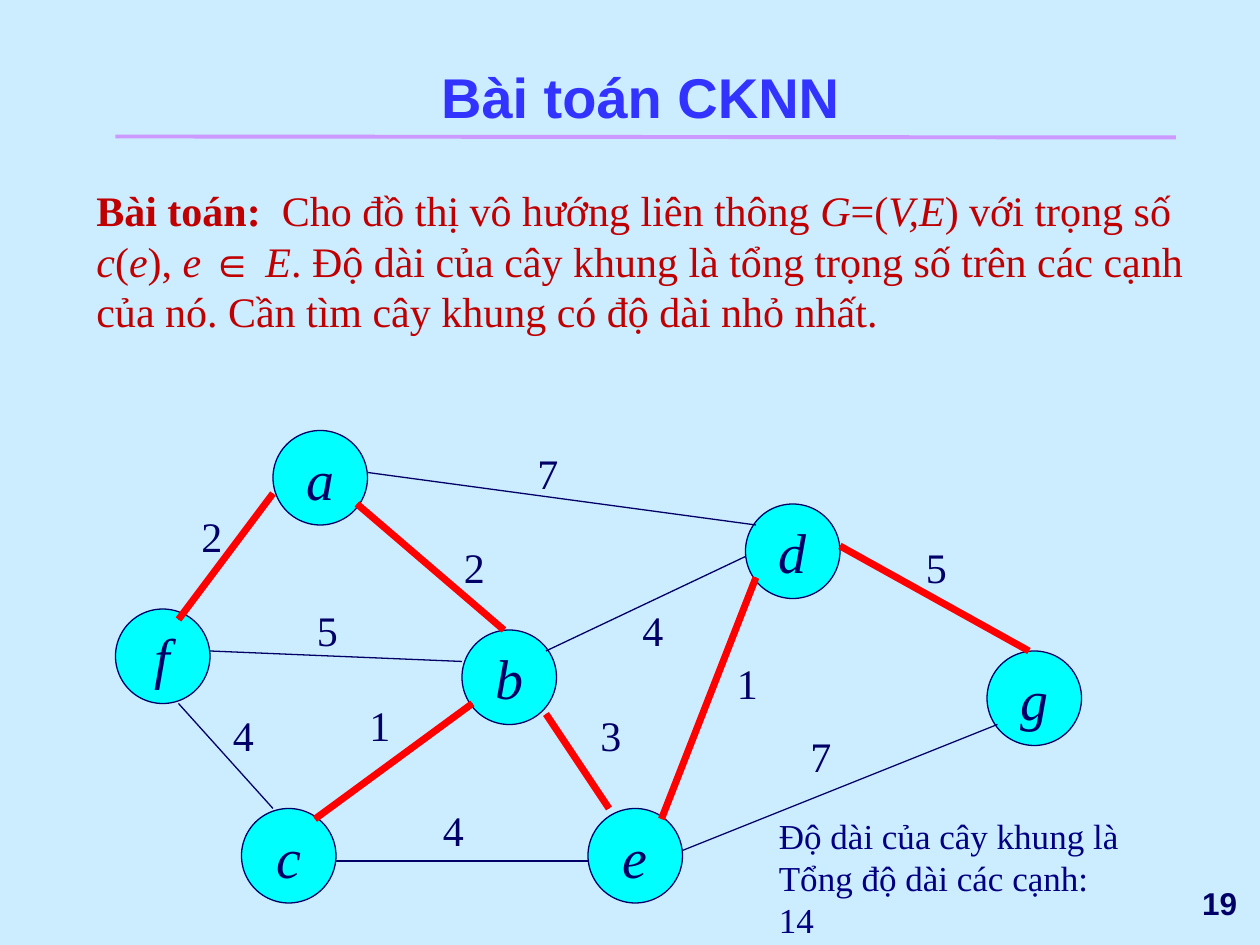
from pptx import Presentation
from pptx import util as u
from pptx.dml.color import RGBColor
from pptx.enum import shapes, text
from pptx.oxml.ns import qn
from lxml import etree

SKY = RGBColor(0xCC, 0xEC, 0xFF)
BLUE = RGBColor(0x33, 0x33, 0xFF)
NAVY = RGBColor(0x00, 0x00, 0x66)
NOTE_BLUE = RGBColor(0x00, 0x00, 0x80)
DARK_RED = RGBColor(0xC0, 0x00, 0x00)
RED = RGBColor(0xFF, 0x00, 0x00)
LILAC = RGBColor(0xCC, 0x99, 0xFF)
CYAN = RGBColor(0x00, 0xFF, 0xFF)

SANS, SERIF = "Arial", "Times New Roman"
GRID = 25.4 / 120  # the slide is 120 x 90 grid units
NODE_SIZE = 9

# Vertex positions on the grid, relative to the graph's corner
NODES = {
    "a": (15, 0), "b": (33, 19), "c": (12, 36), "d": (60, 7),
    "e": (45, 36), "f": (0, 17), "g": (83, 21),
}
# Start, end, weight, position of the weight, part of the spanning tree
EDGES = [
    ((23, 7), (37, 19), "2", (32, 10), True),      # a-b
    ((15, 6), (6, 18), "2", (7, 7), True),         # a-f
    ((34, 26), (19, 37), "1", (23, 25), True),     # b-c
    ((6, 26), (15, 36), "4", (10, 26), False),     # f-c
    ((24, 4), (61, 9), "7", (39, 1), False),       # a-d
    ((21, 41), (45, 41), "4", (30, 35), False),    # c-e
    ((61, 14), (52, 37), "1", (58, 21), True),     # d-e
    ((54, 40), (84, 28), "7", (65, 28), False),    # e-g
    ((69, 11), (87, 21), "5", (76, 10), True),     # d-g
    ((41, 27), (47, 36), "3", (45, 26), True),     # b-e
    ((41, 21), (60, 12), "4", (49, 16), False),    # b-d
    ((9, 21), (33, 22), "5", (18, 16), False),     # f-b
]
# Problem statement: text and the format that differs from plain
STATEMENT = [
    ("Bài toán:  ", {"bold": True}),
    ("Cho đồ thị vô hướng liên thông ", {}),
    ("G", {"italic": True}), ("=(", {}), ("V,E", {"italic": True}),
    (") với trọng số ", {}),
    ("c", {"italic": True}), ("(", {}), ("e", {"italic": True}), ("), ", {}),
    ("e ", {"italic": True}), ("∈ ", {"name": SANS, "bold": True}),
    ("E", {"italic": True}),
    (". Độ dài của cây khung là tổng trọng số trên các cạnh của nó. "
     "Cần tìm cây khung có độ dài nhỏ nhất.", {}),
]


def grid(value):
    return u.Cm(value * GRID)


def write(shape, runs, color, align=text.PP_ALIGN.LEFT,
          anchor=text.MSO_ANCHOR.TOP, wrap=True, **base):
    frame = shape.text_frame
    settings = {"word_wrap": wrap, "vertical_anchor": anchor,
                "margin_left": u.Cm(0.25), "margin_right": u.Cm(0.25),
                "margin_top": u.Cm(0.13), "margin_bottom": u.Cm(0.13)}
    for key, value in settings.items():
        setattr(frame, key, value)
    paragraph = frame.paragraphs[0]
    paragraph.alignment = align
    for words, changes in runs:
        run = paragraph.add_run()
        run.text = words
        for key, value in {**base, **changes}.items():
            setattr(run.font, key, value)
        run.font.color.rgb = color


def add_text(slide, box, runs, color, **options):
    shape = slide.shapes.add_textbox(*box)
    write(shape, runs, color, **options)
    return shape


def add_line(slide, start, end, color, width):
    line = slide.shapes.add_connector(shapes.MSO_CONNECTOR.STRAIGHT, *start, *end)
    line.line.color.rgb = color
    line.line.width = u.Pt(width)
    etree.SubElement(line._element.spPr, qn("a:effectLst"))


def add_heading(slide, left, top, width, height):
    add_text(slide, (left, top, width, height), [("Bài toán CKNN", {})], BLUE,
             align=text.PP_ALIGN.CENTER, anchor=text.MSO_ANCHOR.BOTTOM,
             name=SANS, size=u.Pt(32), bold=True)
    # Rule under the title
    base = top + height
    add_line(slide, (left + grid(1), base),
             (left + width, base + u.Cm(0.02)), LILAC, 2.25)


def add_statement(slide, *box):
    add_text(slide, box, STATEMENT, DARK_RED, name=SERIF, size=u.Pt(24))


def add_graph(slide, left, top):
    def place(point):
        return left + grid(point[0]), top + grid(point[1])

    # Vertices
    for name, corner in NODES.items():
        node = slide.shapes.add_shape(shapes.MSO_SHAPE.OVAL, *place(corner),
                                      grid(NODE_SIZE), grid(NODE_SIZE))
        node.shadow.inherit = False
        node.fill.solid()
        node.fill.fore_color.rgb = CYAN
        node.line.color.rgb = NAVY
        node.line.width = u.Pt(0.75)
        write(node, [(name, {})], NAVY, align=text.PP_ALIGN.CENTER,
              anchor=text.MSO_ANCHOR.MIDDLE, wrap=False,
              name=SERIF, size=u.Pt(32), italic=True)
    # Edges with their weights
    for start, end, weight, corner, _ in EDGES:
        add_line(slide, place(start), place(end), NAVY, 0.75)
        label = add_text(slide, (*place(corner), u.Cm(0.91), u.Cm(1.27)),
                         [(weight, {})], NAVY, wrap=False,
                         name=SERIF, size=u.Pt(24))
        label.text_frame.auto_size = text.MSO_AUTO_SIZE.SHAPE_TO_FIT_TEXT
    # Minimum spanning tree on top
    for start, end, _, _, in_tree in EDGES:
        if in_tree:
            add_line(slide, place(start), place(end), RED, 4)


def add_note(slide, *box):
    add_text(slide, box,
             [("Độ dài của cây khung là Tổng độ dài các cạnh: 14", {})],
             NOTE_BLUE, name=SERIF, size=u.Pt(20))


def add_page_number(slide, *box):
    add_text(slide, box, [("19", {})], NAVY, align=text.PP_ALIGN.RIGHT,
             anchor=text.MSO_ANCHOR.MIDDLE, wrap=False,
             name=SANS, size=u.Pt(18), bold=True)


def main():
    presentation = Presentation()
    presentation.slide_width = u.Cm(25.4)
    presentation.slide_height = u.Cm(19.05)
    slide = presentation.slides.add_slide(presentation.slide_layouts[6])
    slide.background.fill.solid()
    slide.background.fill.fore_color.rgb = SKY

    add_page_number(slide, grid(96), grid(83), grid(23), grid(6))
    add_heading(slide, grid(10), grid(5), grid(102), grid(8))
    add_statement(slide, grid(8), grid(17), grid(106), u.Cm(3.3))
    add_graph(slide, grid(11), grid(41))
    add_note(slide, grid(73), grid(77), grid(36), u.Cm(2.8))
    presentation.save("out.pptx")


if __name__ == "__main__":
    main()
